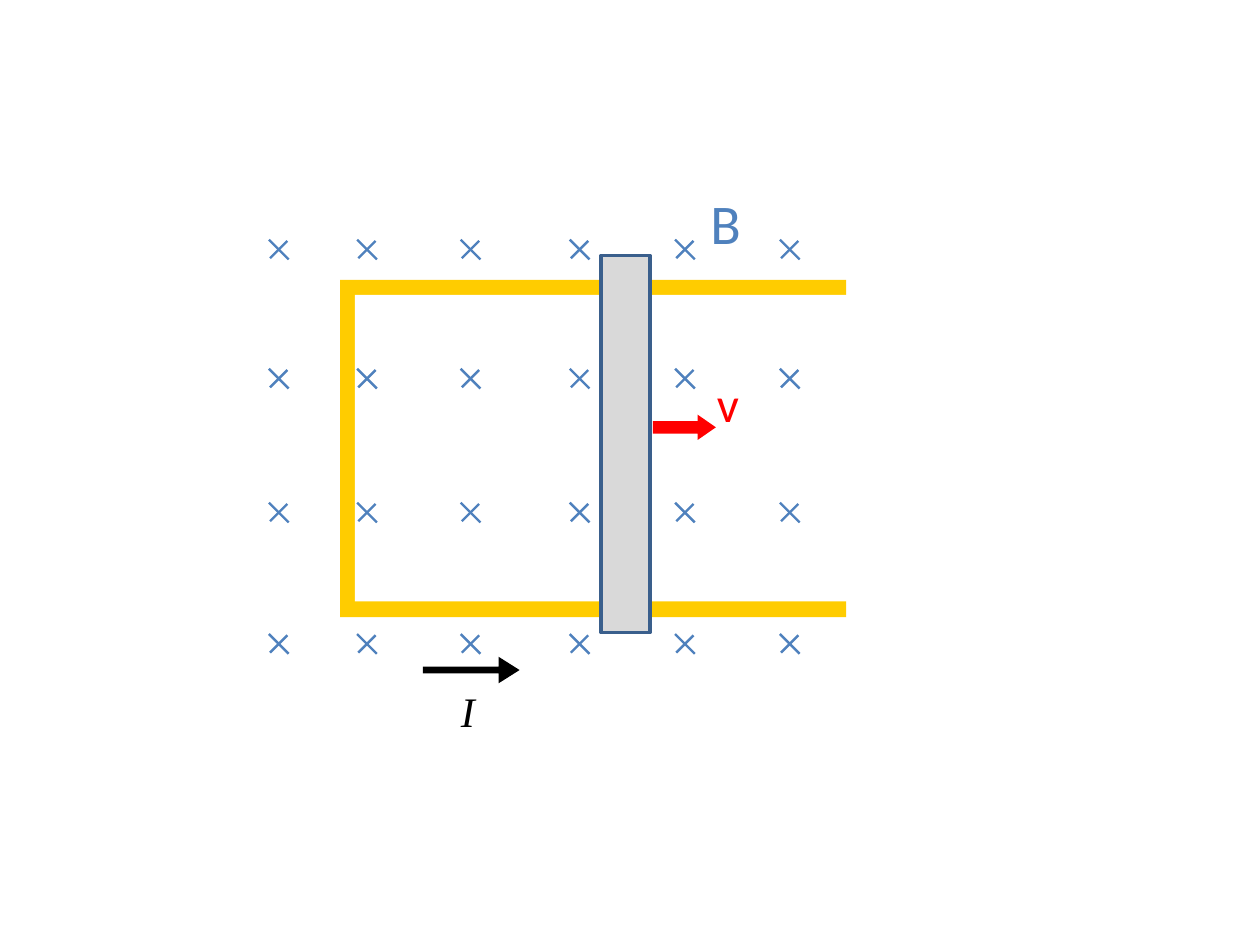
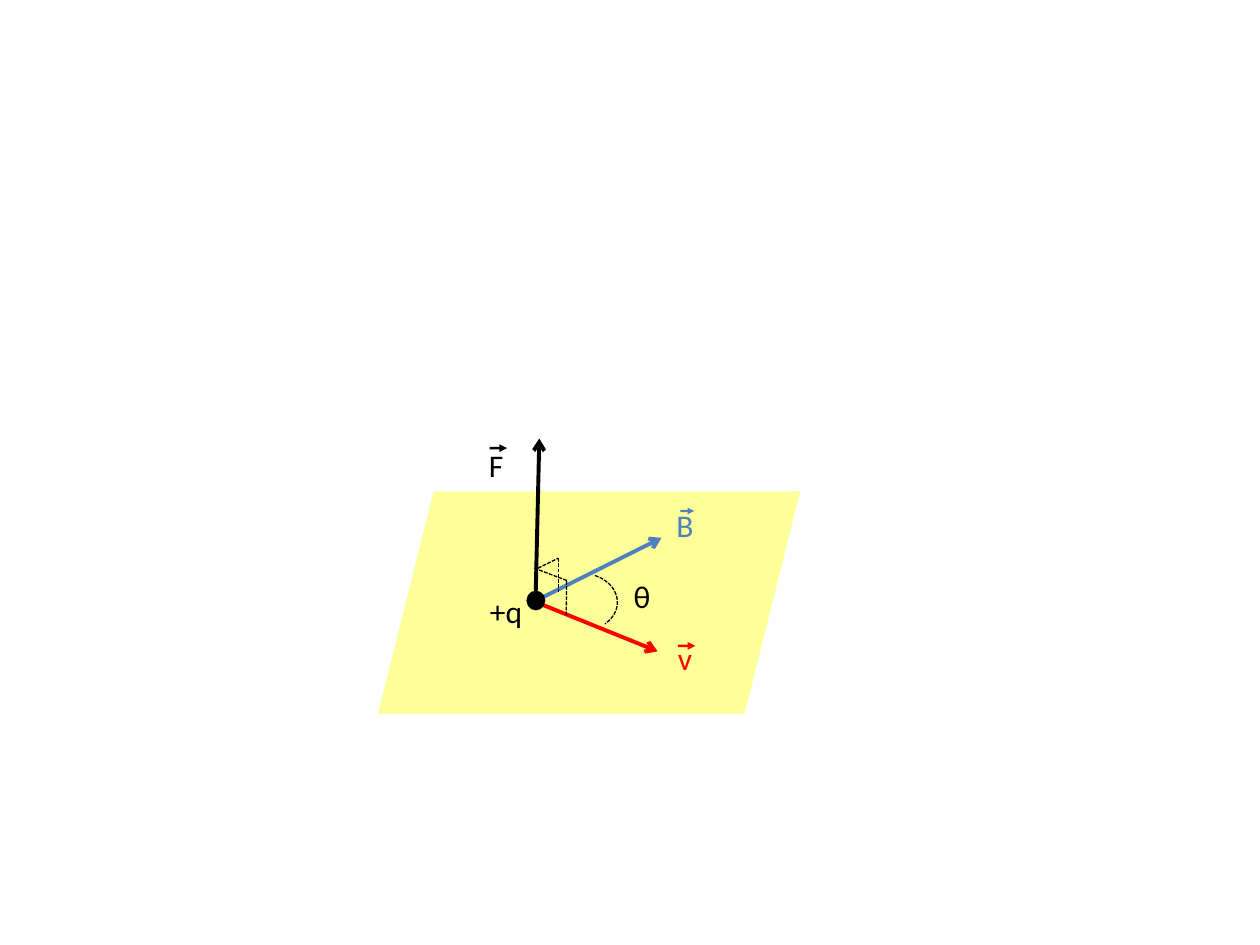
from dataclasses import dataclass
from itertools import product

from pptx import Presentation
from pptx.dml.color import RGBColor
from pptx.enum.dml import MSO_LINE
from pptx.enum.shapes import MSO_CONNECTOR, MSO_SHAPE as SHP
from pptx.enum.text import MSO_AUTO_SIZE
from pptx.oxml.ns import qn
from pptx.util import Pt
from lxml.etree import SubElement

COLORS = {
    "black": "000000", "white": "FFFFFF", "field": "4F81BD", "velocity": "FF0000",
    "rail": "FFCC00", "rod": "D9D9D9", "rod_edge": "3A5F8C", "plane": "FFFF99",
}


@dataclass
class Label:
    text: str
    x: float
    y: float
    w: float
    h: float
    size: float = 18
    color: str = "black"
    font: str = "Calibri"
    italic: bool = False


@dataclass
class Overline:
    """Small arrow above a vector's letter; x is its left end, y its axis."""
    x: float
    y: float
    length: float
    head: float
    color: str


@dataclass
class Ray:
    start: tuple[float, float]
    end: tuple[float, float]
    color: str = "black"


def rgb(name: str) -> RGBColor:
    return RGBColor.from_string(COLORS[name])


def add_shape(slide, kind, x: float, y: float, w: float, h: float,
              fill: str | None = None, rot: float = 0, adj: tuple = ()):
    sp = slide.shapes.add_shape(kind, Pt(x), Pt(y), Pt(w), Pt(h))
    sp.shadow.inherit = False
    sp.rotation = rot
    for i, value in enumerate(adj):
        sp.adjustments[i] = value
    if fill:
        sp.fill.solid()
        sp.fill.fore_color.rgb = rgb(fill)
    else:
        sp.fill.background()
    sp.line.fill.background()
    return sp


def set_line(line, color: str, width: float, dashed: bool = False) -> None:
    line.color.rgb = rgb(color)
    line.width = Pt(width)
    if dashed:
        line.dash_style = MSO_LINE.SQUARE_DOT


def add_ray(slide, ray: Ray, width: float, dashed: bool = False, arrow: bool = False) -> None:
    c = slide.shapes.add_connector(MSO_CONNECTOR.STRAIGHT, *map(Pt, ray.start + ray.end))
    set_line(c.line, ray.color, width, dashed)
    if arrow:
        SubElement(c.line._get_or_add_ln(), qn("a:tailEnd"), type="arrow")
    SubElement(c._element.spPr, qn("a:effectLst"))


def add_label(slide, label: Label) -> None:
    box = slide.shapes.add_textbox(Pt(label.x), Pt(label.y), Pt(label.w), Pt(label.h))
    tf = box.text_frame
    tf.word_wrap = False
    tf.auto_size = MSO_AUTO_SIZE.SHAPE_TO_FIT_TEXT
    r = tf.paragraphs[0].add_run()
    r.text = label.text
    r.font.name = label.font
    r.font.size = Pt(label.size)
    r.font.italic = label.italic
    r.font.color.rgb = rgb(label.color)


def add_cross(slide, cx: float, cy: float) -> None:
    thick = 1.4
    for length, rot in ((16, 45), (14, 315)):
        add_shape(slide, SHP.RECTANGLE, cx - length / 2, cy - thick / 2,
                  length, thick, "field", rot)


def add_overline(slide, o: Overline) -> None:
    thick = 1.4
    add_shape(slide, SHP.RECTANGLE, o.x, o.y - thick / 2,
              o.length - o.head / 2, thick, o.color)
    add_shape(slide, SHP.ISOSCELES_TRIANGLE, o.x + o.length - o.head, o.y - o.head / 2,
              o.head, o.head, o.color, 90)


def build_rod_on_rails(slide) -> None:
    # Rails: a filled frame, open on the right
    add_shape(slide, SHP.RECTANGLE, 194.4, 160, 289.2, 192.6, "rail")
    add_shape(slide, SHP.RECTANGLE, 202.8, 168.5, 281.6, 175.2, "white")

    # Magnetic field pointing into the page
    columns = (159.3, 209.7, 268.9, 331.2, 391.4, 451.3)
    rows = (142.6, 216.4, 292.9, 368)
    for cx, cy in product(columns, rows):
        add_cross(slide, cx, cy)

    # Sliding rod, its velocity and the induced current
    rod = add_shape(slide, SHP.RECTANGLE, 343.4, 146, 28, 215.4, "rod")
    set_line(rod.line, "rod_edge", 2)
    add_shape(slide, SHP.RIGHT_ARROW, 373.1, 237, 36, 14.4, "velocity", adj=(0.5, 0.72))
    add_shape(slide, SHP.RIGHT_ARROW, 241.7, 375.3, 55.2, 15.2, "black", adj=(0.25, 0.79))

    for label in (
        Label("v", 402.5, 210.2, 27.4, 41, 28, "velocity"),
        Label("B", 398.9, 104.4, 32.4, 46, 32, "field"),
        Label("I", 256.3, 388.1, 22.3, 36, 24, font="Times New Roman", italic=True),
    ):
        add_label(slide, label)


def build_force_on_charge(slide) -> None:
    add_shape(slide, SHP.PARALLELOGRAM, 216, 280.8, 241.2, 127.2, "plane")

    # Force, field and velocity vectors
    for ray in (
        Ray((306, 344.2), (308.2, 250.6)),
        Ray((306, 343.4), (378, 307.4), "field"),
        Ray((304.6, 343.4), (375.8, 372.2), "velocity"),
    ):
        add_ray(slide, ray, 2.25, arrow=True)

    # Right-angle marks and the angle between v and B
    for ray in (
        Ray((305.3, 324.7), (324.4, 331.9)),
        Ray((323.8, 331.9), (323.6, 351.4)),
        Ray((307.4, 324.7), (319, 319)),
        Ray((319, 319), (319, 338.4)),
    ):
        add_ray(slide, ray, 0.75, dashed=True)
    theta = add_shape(slide, SHP.ARC, 311, 327.6, 41.8, 33.1, adj=(178.73, 25.13))
    set_line(theta.line, "black", 0.75, dashed=True)

    # Letters and the arrows over them
    for label in (
        Label("F", 272.2, 251.3, 23, 29),
        Label("B", 379.4, 285.8, 24.5, 29, color="field"),
        Label("v", 380.2, 361.4, 23, 29, color="velocity"),
        Label("θ", 355, 326.2, 23.8, 29),
    ):
        add_label(slide, label)
    for overline in (
        Overline(388.8, 292, 7.8, 3.6, "field"),
        Overline(387.4, 369.1, 10, 4.4, "velocity"),
        Overline(279.8, 256.1, 10, 4.4, "black"),
    ):
        add_overline(slide, overline)

    # Charge
    add_shape(slide, SHP.OVAL, 300.8, 337.5, 10.8, 11.3, "black")
    add_label(slide, Label("+q", 272.9, 334.8, 33.1, 29))


def main() -> None:
    prs = Presentation()
    prs.slide_width, prs.slide_height = Pt(720), Pt(540)
    for build in (build_rod_on_rails, build_force_on_charge):
        build(prs.slides.add_slide(prs.slide_layouts[6]))
    prs.save("out.pptx")


if __name__ == "__main__":
    main()
